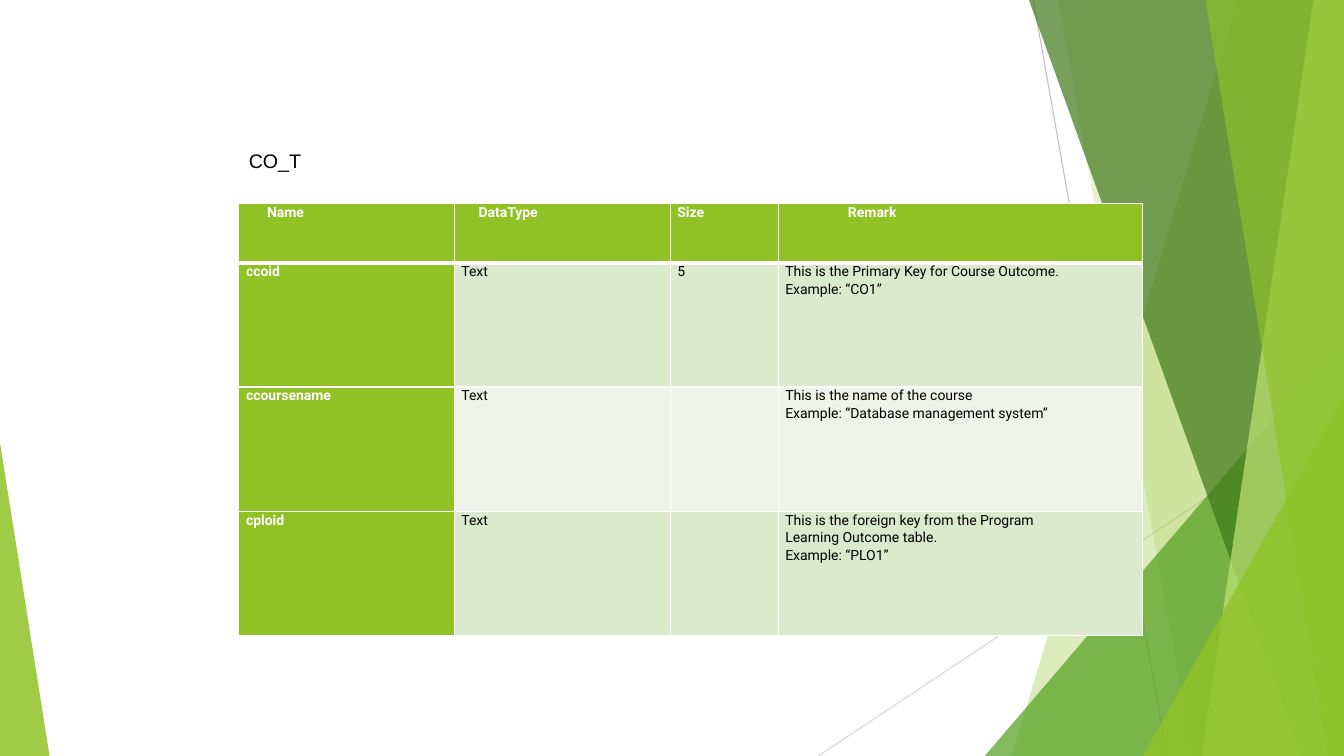
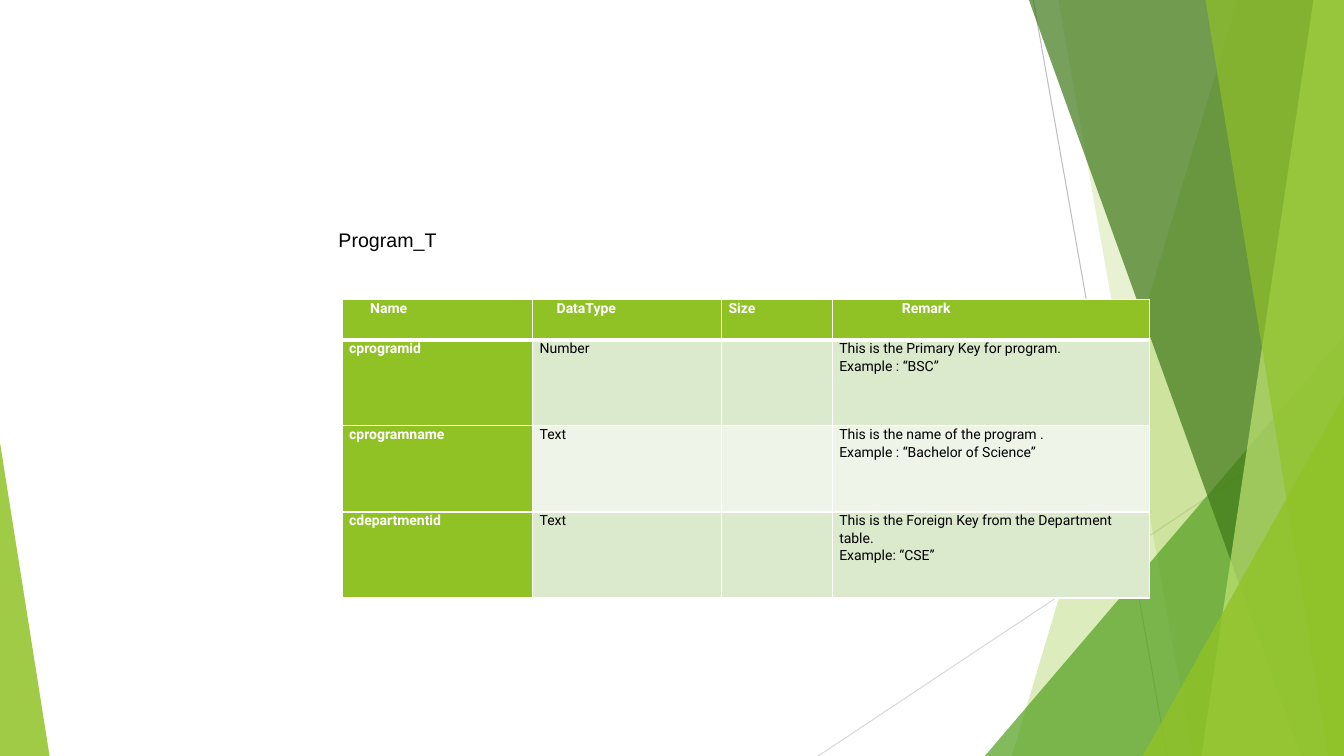
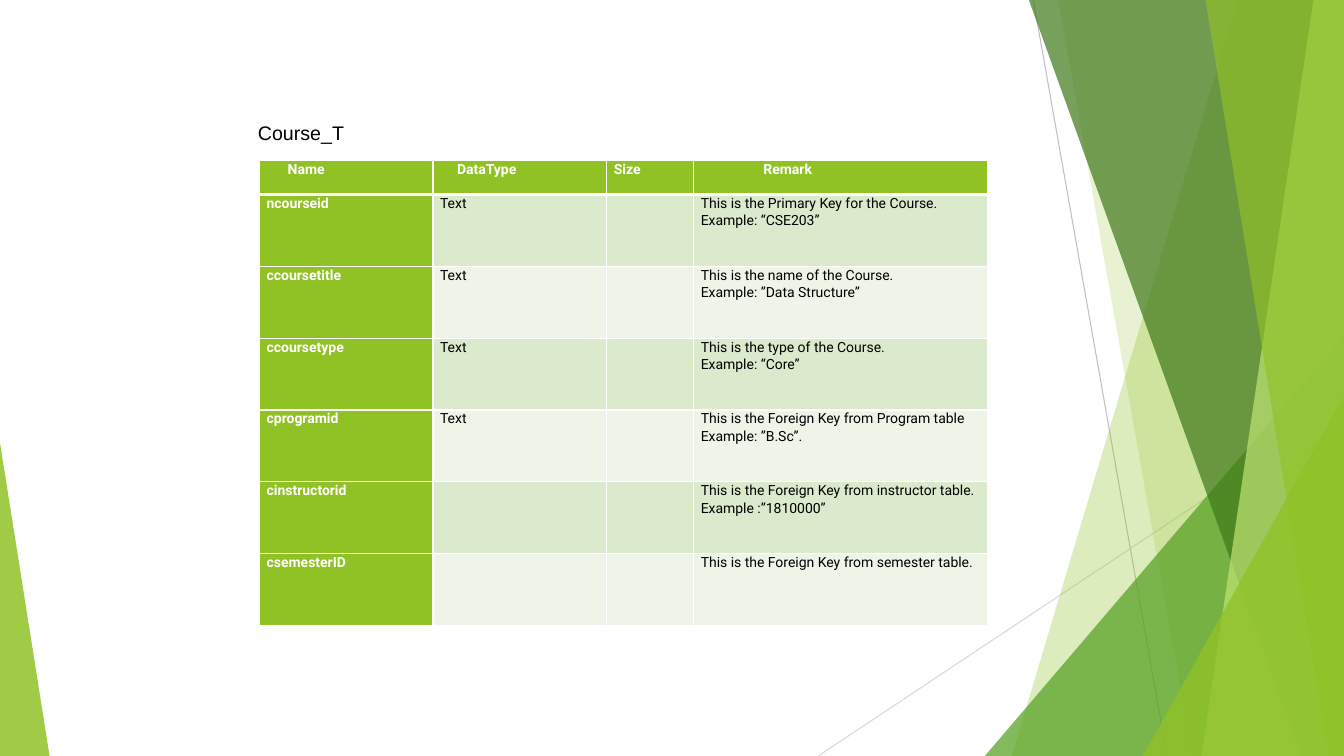
from lxml.etree import SubElement
from pptx import Presentation
from pptx.dml.color import RGBColor as RGB
from pptx.enum.shapes import MSO_CONNECTOR as CONNECTOR, MSO_SHAPE as SHAPE
from pptx.enum.text import MSO_ANCHOR as ANCHOR, MSO_AUTO_SIZE as AUTO_SIZE
from pptx.oxml import parse_xml
from pptx.oxml.ns import nsdecls, qn
from pptx.util import Cm, Pt

WIDTH, HEIGHT = 33.87, 19.05

COLORS = {
    "white": "FFFFFF",
    "black": "000000",
    "green": "90C226",
    "mid": "54A021",
    "dark": "3F7819",
    "lime": "C0E474",
    "band_a": "DBE9CD",
    "band_b": "EEF4E8",
    "line_dark": "BFBFBF",
    "line_light": "D9D9D9",
}

# Column titles with their left indents in cm
HEADERS = [("Name", 0.53), ("DataType", 0.43), ("Size", 0), ("Remark", 1.58)]


def rgb(name):
    return RGB.from_string(COLORS[name])


def add_line(shapes, start, end, color):
    line = shapes.add_connector(CONNECTOR.STRAIGHT, *map(Cm, start + end))
    line.line.color.rgb = rgb(color)
    line.line.width = Pt(0.75)
    SubElement(line.element.spPr, qn("a:effectLst"))


def tint(shape, color, opacity):
    """Give a shape a translucent fill (opacity in percent), no line, no shadow."""
    shape.shadow.inherit = False
    shape.line.fill.background()
    shape.fill.solid()
    shape.fill.fore_color.rgb = rgb(color)
    clr = shape.element.spPr.find(".//" + qn("a:srgbClr"))
    SubElement(clr, qn("a:alpha"), val=str(opacity * 1000))


def add_band(shapes, top_x, bottom_x, color, opacity):
    """Fill from a slanted left edge to the right side of the slide."""
    corners = [(WIDTH, 0), (WIDTH, HEIGHT), (bottom_x, HEIGHT)]
    builder = shapes.build_freeform(Cm(top_x), Cm(0), scale=1.0)
    builder.add_line_segments([(Cm(x), Cm(y)) for x, y in corners], close=True)
    tint(builder.convert_to_shape(), color, opacity)


def add_corner(shapes, left, top, width, apex, color, opacity):
    """Right triangle standing on the bottom edge; apex 0 is left, 1 is right."""
    s = shapes.add_shape(SHAPE.ISOSCELES_TRIANGLE, Cm(left), Cm(top),
                         Cm(width), Cm(HEIGHT - top))
    s.adjustments[0] = apex
    tint(s, color, opacity)


def add_backdrop(slide, layout):
    """Draw the green facets and move them to the layout, for all slides."""
    for placeholder in list(layout.placeholders):
        layout.shapes.element.remove(placeholder.element)
    group = slide.shapes.add_group_shape()
    shapes = group.shapes
    add_line(shapes, (26.04, 0), (29.41, HEIGHT), "line_dark")
    add_line(shapes, (WIDTH, 10.24), (20.62, HEIGHT), "line_light")
    add_band(shapes, 31.19, 25.5, "green", 30)
    add_band(shapes, 26.67, 30.05, "green", 20)
    add_corner(shapes, 24.82, 8.46, WIDTH - 24.82, 1, "mid", 72)
    add_band(shapes, 25.93, 32.79, "dark", 70)
    add_band(shapes, 33.1, 30.28, "lime", 70)
    add_band(shapes, 30.38, 33.48, "green", 65)
    add_corner(shapes, 28.8, 9.98, WIDTH - 28.8, 1, "green", 80)
    add_corner(shapes, 0, 11.15, 1.25, 0, "green", 85)
    layout.shapes.element.append(group.element)


def add_run(p, text, font, size, color, bold=False):
    r = p.add_run()
    r.text = text
    r.font.name, r.font.size, r.font.bold = font, Pt(size), bold
    r.font.color.rgb = rgb(color)


def add_label(slide, text, left, top, width):
    tf = slide.shapes.add_textbox(Cm(left), Cm(top), Cm(width), Cm(0.86)).text_frame
    tf.word_wrap = False
    tf.auto_size = AUTO_SIZE.SHAPE_TO_FIT_TEXT
    tf.vertical_anchor = ANCHOR.MIDDLE
    add_run(tf.paragraphs[0], text, "Arial", 14, "black")


def set_borders(cell, top, bottom):
    """White borders; widths in points, 1 at the sides."""
    tc_pr = cell._tc.get_or_add_tcPr()
    for i, (side, width) in enumerate(zip("LRTB", (1, 1, top, bottom))):
        tc_pr.insert(i, parse_xml(
            f'<a:ln{side} {nsdecls("a")} w="{Pt(width)}"><a:solidFill>'
            f'<a:srgbClr val="{COLORS["white"]}"/></a:solidFill></a:ln{side}>'))


def fill_cell(cell, text, fill, strong, indent=0):
    cell.margin_left = cell.margin_right = Cm(0.18)
    cell.margin_top = cell.margin_bottom = 0
    cell.fill.solid()
    cell.fill.fore_color.rgb = rgb(fill)
    tf = cell.text_frame
    for i, line in enumerate(text.splitlines()):
        p = tf.add_paragraph() if i else tf.paragraphs[0]
        p.line_spacing = 1.07
        if indent:
            p._p.get_or_add_pPr().set("marL", str(Cm(indent)))
        add_run(p, line, "Roboto", 10, "white" if strong else "black", strong)


def add_field_table(slide, left, top, widths, header_height, row_height, rows):
    heights = [header_height] + [row_height] * len(rows)
    table = slide.shapes.add_table(
        len(heights), len(widths), Cm(left), Cm(top),
        Cm(sum(widths)), Cm(sum(heights))).table
    for column, width in zip(table.columns, widths):
        column.width = Cm(width)
    for row, height in zip(table.rows, heights):
        row.height = Cm(height)
    for c, (title, indent) in enumerate(HEADERS):
        cell = table.cell(0, c)
        fill_cell(cell, title, "green", True, indent)
        set_borders(cell, 1, 3)
    for r, texts in enumerate(rows, 1):
        band = "band_a" if r % 2 else "band_b"
        for c, text in enumerate(texts):
            cell = table.cell(r, c)
            fill_cell(cell, text, band if c else "green", c == 0)
            set_borders(cell, 3 if r == 1 else 1, 1)


PAGES = [
    {
        "label": ("CO_T", 6.02, 3.63, 1.83),
        "table": (6.02, 5.13, (5.43, 5.44, 2.72, 9.19), 1.49, 3.13),
        "rows": [
            ("ccoid", "Text", "5",
             "This is the Primary Key for Course Outcome.\nExample: “CO1”"),
            ("ccoursename", "Text", "",
             "This is the name of the course\nExample: “Database management system”"),
            ("cploid", "Text", "",
             "This is the foreign key from the Program\n"
             "Learning Outcome table.\nExample: “PLO1”"),
        ],
    },
    {
        "label": ("Program_T", 8.28, 5.61, 3),
        "table": (8.62, 7.54, (4.8, 4.76, 2.79, 8), 1.02, 2.17),
        "rows": [
            ("cprogramid", "Number", "",
             "This is the Primary Key for program.\nExample : “BSC”"),
            ("cprogramname", "Text", "",
             "This is the name of the program .\nExample : “Bachelor of Science”"),
            ("cdepartmentid", "Text", "",
             "This is the Foreign Key from the Department table.\nExample: “CSE”"),
        ],
    },
    {
        "label": ("Course_T", 6.25, 2.92, 2.69),
        "table": (6.54, 4.04, (4.37, 4.38, 2.19, 7.42), 0.86, 1.81),
        "rows": [
            ("ncourseid", "Text", "",
             "This is the Primary Key for the Course.\nExample: “CSE203”"),
            ("ccoursetitle", "Text", "",
             "This is the name of the Course.\nExample: ”Data Structure”"),
            ("ccoursetype", "Text", "",
             "This is the type of the Course.\nExample: “Core”"),
            ("cprogramid", "Text", "",
             "This is the Foreign Key from Program table\nExample: ”B.Sc”."),
            ("cinstructorid", "", "",
             "This is the Foreign Key from instructor table.\nExample :”1810000”"),
            ("csemesterID", "", "",
             "This is the Foreign Key from semester table."),
        ],
    },
]


def main():
    prs = Presentation()
    prs.slide_width, prs.slide_height = Cm(WIDTH), Cm(HEIGHT)
    blank = prs.slide_layouts[6]
    slides = [prs.slides.add_slide(blank) for _ in PAGES]
    add_backdrop(slides[0], blank)
    for slide, page in zip(slides, PAGES):
        add_field_table(slide, *page["table"], page["rows"])
        add_label(slide, *page["label"])
    prs.save("out.pptx")


if __name__ == "__main__":
    main()
